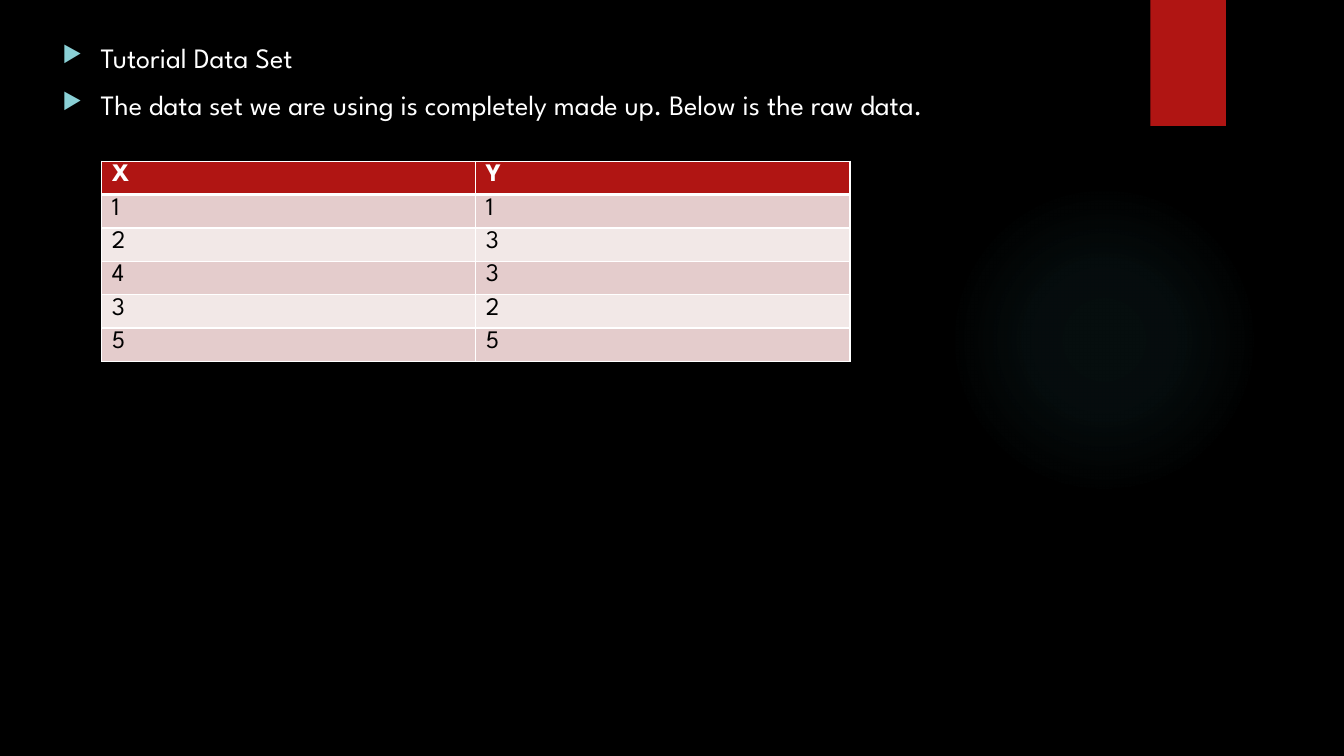
from dataclasses import dataclass

from lxml import etree
from pptx import Presentation
from pptx.dml.color import RGBColor
from pptx.enum.shapes import MSO_SHAPE
from pptx.oxml import parse_xml
from pptx.oxml.ns import nsdecls, qn
from pptx.util import Inches, Pt

OVAL = MSO_SHAPE.OVAL
RECTANGLE = MSO_SHAPE.RECTANGLE
FONT = "League Spartan"
CELL = Inches(0.1)
COLORS = {
    "background": "000000",
    "glow": "50B9C1",
    "accent": "B01513",
    "bullet": "8AD0D6",
    "light": "FFFFFF",
    "dark": "000000",
    "odd_row": "E4CCCC",
    "even_row": "F2E8E7",
}
BULLETS = (
    "Tutorial Data Set",
    "The data set we are using is completely made up. Below is the raw data.",
)
HEADER = ("X", "Y")
POINTS = ((1, 1), (2, 3), (4, 3), (3, 2), (5, 5))
GLOW_STOPS = ((0, 7), (36, 6), (69, 0))


@dataclass(frozen=True)
class Area:
    """A place on the slide, in columns and rows of the grid."""

    column: float
    row: float
    columns: float
    rows: float

    def lengths(self) -> tuple[int, ...]:
        """Return left, top, width and height as slide lengths."""
        return tuple(round(n * CELL) for n in (self.column, self.row, self.columns, self.rows))


GLOW = Area(94.1, 18.3, 30.8, 30.8)
RIBBON = Area(114.1, 0, 7.5, 12.5)
BODY = Area(5.2, 3.5, 115, 47.6)
TABLE = Area(10.1, 16, 74.2, 19.86)


def color(name: str) -> RGBColor:
    """Look up a colour by its name."""
    return RGBColor.from_string(COLORS[name])


def add_block(page, kind, area: Area, fill: str):
    """Draw a plain filled shape without outline or shadow."""
    block = page.shapes.add_shape(kind, *area.lengths())
    block.shadow.inherit = False
    block.line.fill.background()
    block.fill.solid()
    block.fill.fore_color.rgb = color(fill)
    return block


def add_glow(page) -> None:
    """Draw the circle that fades out from its centre."""
    glow = add_block(page, OVAL, GLOW, "glow")
    stops = "".join(
        f'<a:gs pos="{place * 1000}"><a:srgbClr val="{COLORS["glow"]}">'
        f'<a:alpha val="{alpha * 1000}"/></a:srgbClr></a:gs>'
        for place, alpha in GLOW_STOPS
    )
    gradient = parse_xml(
        f'<a:gradFill {nsdecls("a")}><a:gsLst>{stops}</a:gsLst><a:path path="circle">'
        '<a:fillToRect l="50000" t="50000" r="50000" b="50000"/></a:path></a:gradFill>'
    )
    properties = glow.element.spPr
    properties.replace(properties.find(qn("a:solidFill")), gradient)


def write(para, text: str, *, size: int, fill: str, bold: bool = False) -> None:
    """Add formatted text to a paragraph."""
    span = para.add_run()
    span.text = text
    span.font.name = FONT
    span.font.size = Pt(size)
    span.font.bold = bold
    span.font.color.rgb = color(fill)


def add_bullet(para) -> None:
    """Give a paragraph its triangle bullet and hanging indent."""
    properties = para._p.get_or_add_pPr()
    indent = Inches(0.38)
    properties.set("marL", str(indent))
    properties.set("indent", str(-indent))
    tint = etree.SubElement(properties, qn("a:buClr"))
    etree.SubElement(tint, qn("a:srgbClr"), val=COLORS["bullet"])
    etree.SubElement(properties, qn("a:buSzPct"), val="80000")
    etree.SubElement(properties, qn("a:buChar"), char="▶")


def add_body(page) -> None:
    """Write the bulleted introduction."""
    frame = page.shapes.add_textbox(*BODY.lengths()).text_frame
    frame.word_wrap = True
    for index, text in enumerate(BULLETS):
        para = frame.add_paragraph() if index else frame.paragraphs[0]
        para.space_before = Pt(10)
        add_bullet(para)
        write(para, text, size=20, fill="light")


def set_borders(cell, widths: dict[str, int]) -> None:
    """Draw white cell borders, placed before the cell's fill."""
    properties = cell._tc.get_or_add_tcPr()
    for index, (side, width) in enumerate(widths.items()):
        border = parse_xml(
            f'<a:{side} {nsdecls("a")} w="{Pt(width)}"><a:solidFill>'
            f'<a:srgbClr val="{COLORS["light"]}"/></a:solidFill></a:{side}>'
        )
        properties.insert(index, border)


def add_data_table(page) -> None:
    """Build the table of raw data under its header row."""
    rows = (HEADER, *POINTS)
    table = page.shapes.add_table(len(rows), len(HEADER), *TABLE.lengths()).table
    for row, values in enumerate(rows):
        is_header = row == 0
        fill = "accent" if is_header else "odd_row" if row % 2 else "even_row"
        widths = {
            "lnL": 1,
            "lnR": 1,
            "lnT": 3 if row == 1 else 1,
            "lnB": 3 if is_header else 1,
        }
        for column, value in enumerate(values):
            cell = table.cell(row, column)
            cell.margin_top = Inches(0.03)
            cell.margin_bottom = 0
            cell.fill.solid()
            cell.fill.fore_color.rgb = color(fill)
            set_borders(cell, widths)
            write(
                cell.text_frame.paragraphs[0],
                str(value),
                size=18,
                fill="light" if is_header else "dark",
                bold=is_header,
            )


def main() -> None:
    """Build the slide and save it."""
    deck = Presentation()
    deck.slide_width, deck.slide_height = Inches(13.33), Inches(7.5)
    page = deck.slides.add_slide(deck.slide_layouts[6])
    page.background.fill.solid()
    page.background.fill.fore_color.rgb = color("background")
    add_glow(page)
    add_block(page, RECTANGLE, RIBBON, "accent")
    add_body(page)
    add_data_table(page)
    deck.save("out.pptx")


if __name__ == "__main__":
    main()
